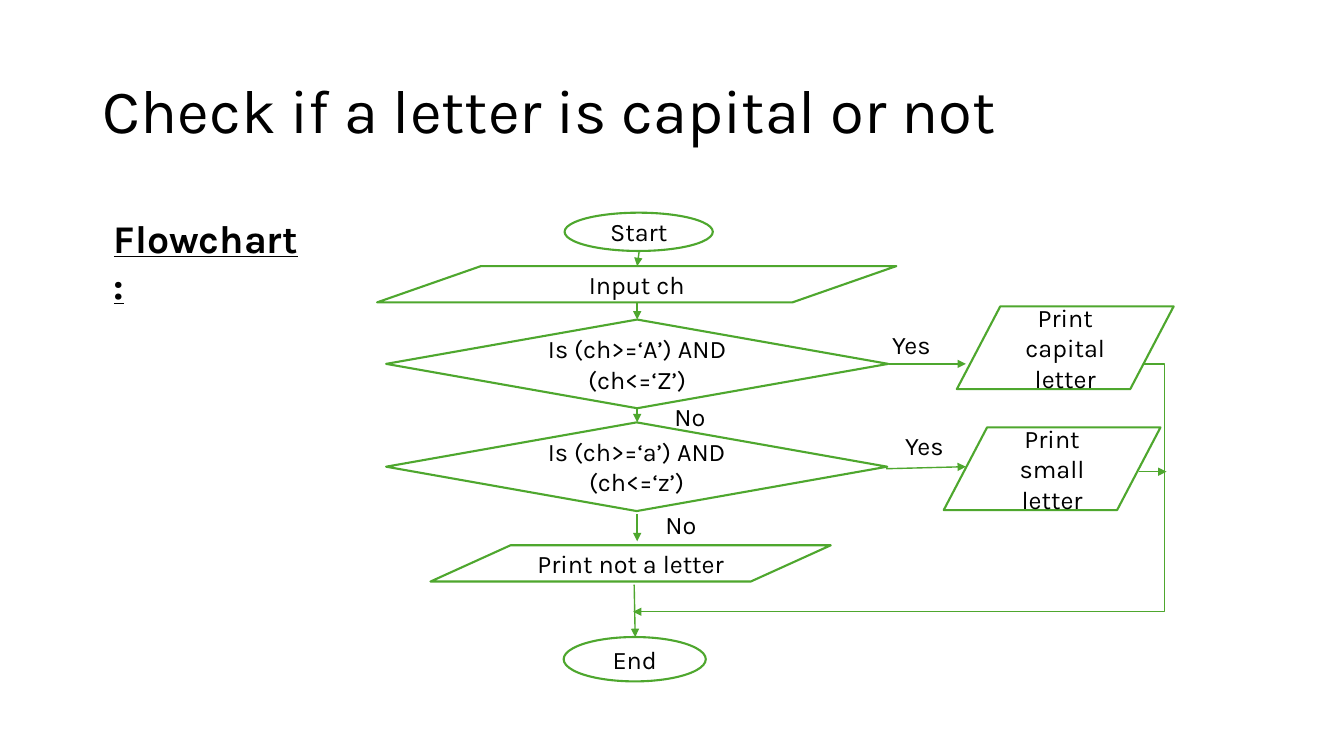
import dataclasses

import pptx
import pptx.dml.color
import pptx.enum.shapes
import pptx.enum.text
import pptx.oxml
import pptx.oxml.ns
import pptx.util

Inches = pptx.util.Inches
Pt = pptx.util.Pt
SHAPE = pptx.enum.shapes.MSO_SHAPE
LINK = pptx.enum.shapes.MSO_CONNECTOR
ALIGN = pptx.enum.text.PP_ALIGN
ANCHOR = pptx.enum.text.MSO_ANCHOR
FIT = pptx.enum.text.MSO_AUTO_SIZE

FONT = "Karla"
BLACK = "000000"
WHITE = "FFFFFF"
GREEN = "4EA72E"
MID = 6.32
JOIN = 6.07


@dataclasses.dataclass(frozen=True)
class Node:
    kind: int
    text: str
    left: float
    top: float
    width: float
    height: float


@dataclasses.dataclass(frozen=True)
class Arrow:
    x1: float
    y1: float
    x2: float
    y2: float
    bend: int | None = None


@dataclasses.dataclass(frozen=True)
class Label:
    text: str
    left: float
    top: float
    width: float
    height: float = 0.4
    size: int = 18
    head: bool = False


NODES = [
    Node(SHAPE.OVAL, "Start", 5.6, 2.11, 1.47, 0.38),
    Node(SHAPE.FLOWCHART_DATA, "Input ch", 3.74, 2.64, 5.15, 0.36),
    Node(SHAPE.FLOWCHART_DECISION, "Is (ch>=‘A’) AND (ch<=‘Z’)", 3.83, 3.17, 4.98, 0.88),
    Node(SHAPE.FLOWCHART_DECISION, "Is (ch>=‘a’) AND (ch<=‘z’)", 3.83, 4.19, 4.97, 0.88),
    Node(SHAPE.FLOWCHART_DATA, "Print capital letter", 9.49, 3.04, 2.15, 0.82),
    Node(SHAPE.FLOWCHART_DATA, "Print small letter", 9.36, 4.24, 2.15, 0.82),
    Node(SHAPE.FLOWCHART_DATA, "Print not a letter", 4.27, 5.41, 3.97, 0.36),
    Node(SHAPE.OVAL, "End", 5.59, 6.32, 1.41, 0.44),
]

ARROWS = [
    Arrow(6.34, 2.49, MID, 2.64),
    Arrow(MID, 3.01, MID, 3.17),
    Arrow(MID, 4.05, MID, 4.19),
    Arrow(MID, 5.1, MID, 5.37),
    Arrow(6.29, 5.8, 6.3, 6.32),
    Arrow(8.82, 3.61, 9.58, 3.61),
    Arrow(8.79, 4.65, 9.58, 4.63),
    Arrow(11.3, 4.68, 11.57, 4.68),
    Arrow(11.3, 3.61, 6.28, JOIN, bend=-5000),
]

LABELS = [
    Label("Flowchart:", 1.03, 2.08, 2.11, 0.57, 28, True),
    Label("Yes", 8.75, 3.22, 0.58),
    Label("Yes", 8.88, 4.22, 0.58),
    Label("No", 6.59, 3.93, 0.52),
    Label("No", 6.5, 5, 0.52),
]


def tint(code: str) -> pptx.dml.color.RGBColor:
    return pptx.dml.color.RGBColor.from_string(code)


def write(frame, text: str, size: int, align: int, head: bool = False) -> None:
    frame.text = text
    para = frame.paragraphs[0]
    para.alignment = align
    font = para.runs[0].font
    font.name = FONT
    font.size = Pt(size)
    font.color.rgb = tint(BLACK)
    if head:
        font.bold = True
        font.underline = True


def draw_node(slide, node: Node) -> None:
    box = map(Inches, (node.left, node.top, node.width, node.height))
    shape = slide.shapes.add_shape(node.kind, *box)
    shape.shadow.inherit = False
    shape.fill.solid()
    shape.fill.fore_color.rgb = tint(WHITE)
    shape.line.color.rgb = tint(GREEN)
    shape.line.width = Pt(1.5)
    frame = shape.text_frame
    frame.word_wrap = True
    frame.vertical_anchor = ANCHOR.MIDDLE
    write(frame, node.text, 18, ALIGN.CENTER)


def draw_arrow(slide, arrow: Arrow) -> None:
    kind = LINK.STRAIGHT if arrow.bend is None else LINK.ELBOW
    ends = map(Inches, (arrow.x1, arrow.y1, arrow.x2, arrow.y2))
    link = slide.shapes.add_connector(kind, *ends)
    link.line.color.rgb = tint(GREEN)
    link.line.width = Pt(1)
    qn = pptx.oxml.ns.qn
    props = link._element.spPr
    tip = props.find(qn("a:ln")).makeelement(qn("a:tailEnd"), {"type": "triangle"})
    props.find(qn("a:ln")).append(tip)
    props.append(props.makeelement(qn("a:effectLst"), {}))
    if arrow.bend is not None:
        guides = props.find(qn("a:prstGeom")).get_or_add_avLst()
        rule = {"name": "adj1", "fmla": f"val {arrow.bend}"}
        guides.append(guides.makeelement(qn("a:gd"), rule))


def draw_label(slide, label: Label) -> None:
    box = map(Inches, (label.left, label.top, label.width, label.height))
    frame = slide.shapes.add_textbox(*box).text_frame
    frame.word_wrap = label.head
    frame.auto_size = FIT.SHAPE_TO_FIT_TEXT
    write(frame, label.text, label.size, ALIGN.LEFT, label.head)


def draw_title(slide, text: str) -> None:
    title = slide.shapes.title
    title.left, title.top = Inches(0.92), Inches(0.4)
    title.width, title.height = Inches(11.5), Inches(1.45)
    frame = title.text_frame
    frame.auto_size = FIT.NONE
    frame.vertical_anchor = ANCHOR.MIDDLE
    write(frame, text, 44, ALIGN.LEFT)
    frame.paragraphs[0].line_spacing = 0.9


def main() -> None:
    deck = pptx.Presentation()
    deck.slide_width, deck.slide_height = Inches(13.33), Inches(7.5)
    slide = deck.slides.add_slide(deck.slide_layouts[5])
    draw_title(slide, "Check if a letter is capital or not")
    for arrow in ARROWS:
        draw_arrow(slide, arrow)
    for node in NODES:
        draw_node(slide, node)
    for label in LABELS:
        draw_label(slide, label)
    deck.save("out.pptx")


if __name__ == "__main__":
    main()
